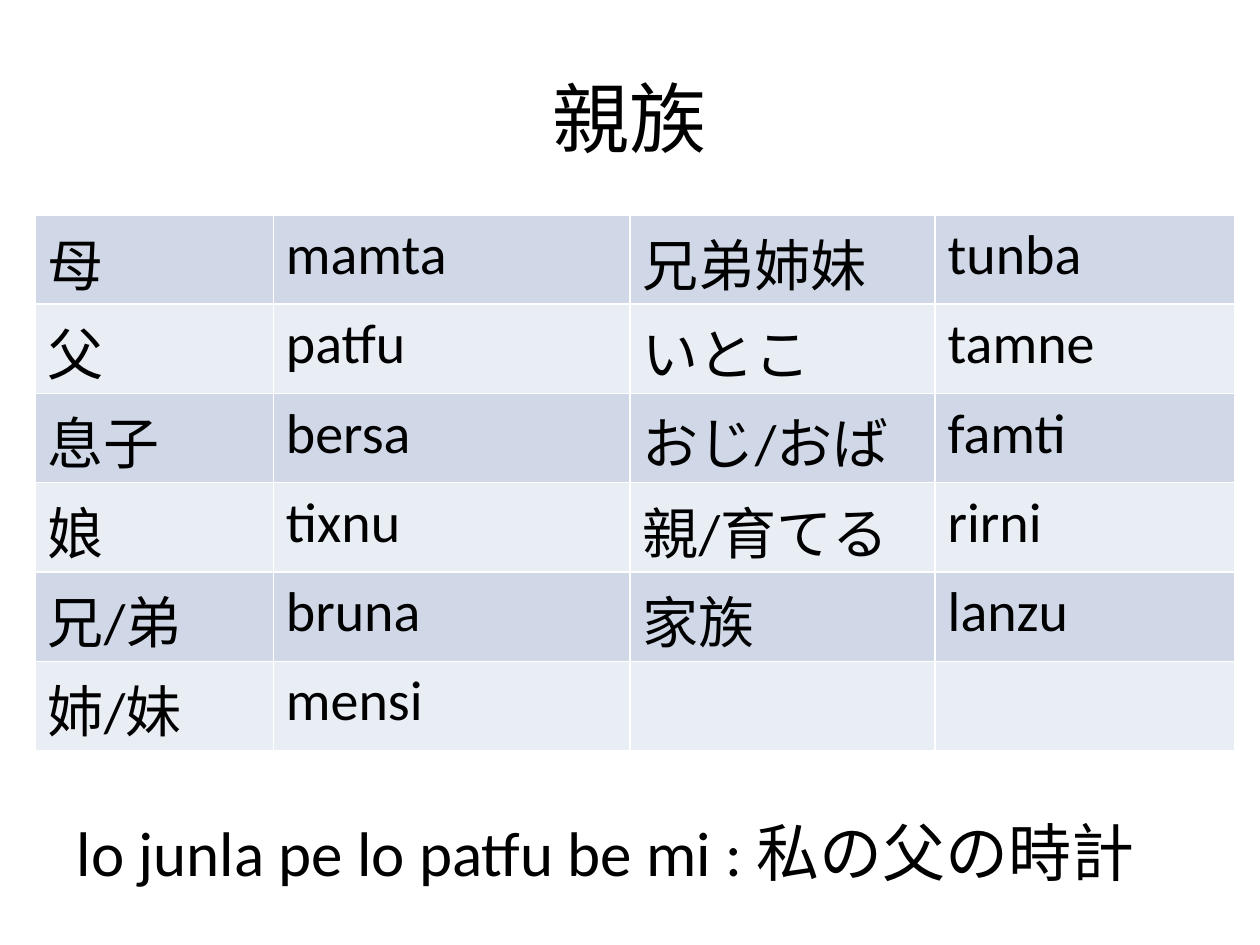
import pptx
import pptx.dml.color
import pptx.enum.text
import pptx.oxml
import pptx.oxml.ns
import pptx.util
from pptx.util import Cm

ANCHOR = pptx.enum.text.MSO_ANCHOR
ALIGN = pptx.enum.text.PP_ALIGN
BANDS = ("D0D8E8", "E9EDF4")
WIDTHS = (4.8, 7.19, 6.15, 6.05)
HEIGHT = 1.8
KIN = (
    ("母", "mamta", "兄弟姉妹", "tunba"),
    ("父", "patfu", "いとこ", "tamne"),
    ("息子", "bersa", "おじ/おば", "famti"),
    ("娘", "tixnu", "親/育てる", "rirni"),
    ("兄/弟", "bruna", "家族", "lanzu"),
    ("姉/妹", "mensi", "", ""),
)


def color(code):
    """Turn a hex string into a colour."""
    return pptx.dml.color.RGBColor.from_string(code)


def style(item, form):
    """Set each format value on an object."""
    for name, value in form.items():
        setattr(item, name, value)


def write(frame, text, size, align=ALIGN.LEFT):
    """Put one line of text in a frame."""
    para = frame.paragraphs[0]
    para.alignment = align
    font = para.font
    if text:
        run = para.add_run()
        run.text = text
        font = run.font
    style(font, {"name": "Calibri", "size": pptx.util.Pt(size), "bold": False})
    font.color.rgb = color("000000")


def label(slide, box, text, size, align, anchor):
    """Add a text box that wraps."""
    frame = slide.shapes.add_textbox(*map(Cm, box)).text_frame
    style(frame, {"word_wrap": True, "vertical_anchor": anchor})
    write(frame, text, size, align)


def border(cell, code):
    """Draw a thin line on all four sides of a cell."""
    props = cell._tc.get_or_add_tcPr()
    for side in "LRTB":
        props.append(pptx.oxml.parse_xml(
            f'<a:ln{side} {pptx.oxml.ns.nsdecls("a")} w="12700"><a:solidFill>'
            f'<a:srgbClr val="{code}"/></a:solidFill></a:ln{side}>'))


def grid(slide, left, top, rows):
    """Add the banded table of words."""
    table = slide.shapes.add_table(
        len(rows), len(WIDTHS), Cm(left), Cm(top),
        Cm(sum(WIDTHS)), Cm(HEIGHT * len(rows))).table
    style(table, {"first_row": False, "horz_banding": True})
    for col, width in zip(table.columns, WIDTHS):
        col.width = Cm(width)
    for i, words in enumerate(rows):
        table.rows[i].height = Cm(HEIGHT)
        for j, word in enumerate(words):
            cell = table.cell(i, j)
            border(cell, "FFFFFF")
            cell.fill.solid()
            cell.fill.fore_color.rgb = color(BANDS[i % 2])
            write(cell.text_frame, word, 32)


def main():
    """Build and save the slide."""
    deck = pptx.Presentation()
    style(deck, {"slide_width": Cm(25.4), "slide_height": Cm(19.05)})
    slide = deck.slides.add_slide(deck.slide_layouts[6])
    label(slide, (1.27, 0.76, 22.86, 3.18), "親族", 44,
          ALIGN.CENTER, ANCHOR.MIDDLE)
    grid(slide, 0.71, 4.33, KIN)
    label(slide, (1.3, 16.28, 22.8, 1.8),
          "lo junla pe lo patfu be mi : 私の父の時計", 36,
          ALIGN.LEFT, ANCHOR.TOP)
    deck.save("out.pptx")


main()
